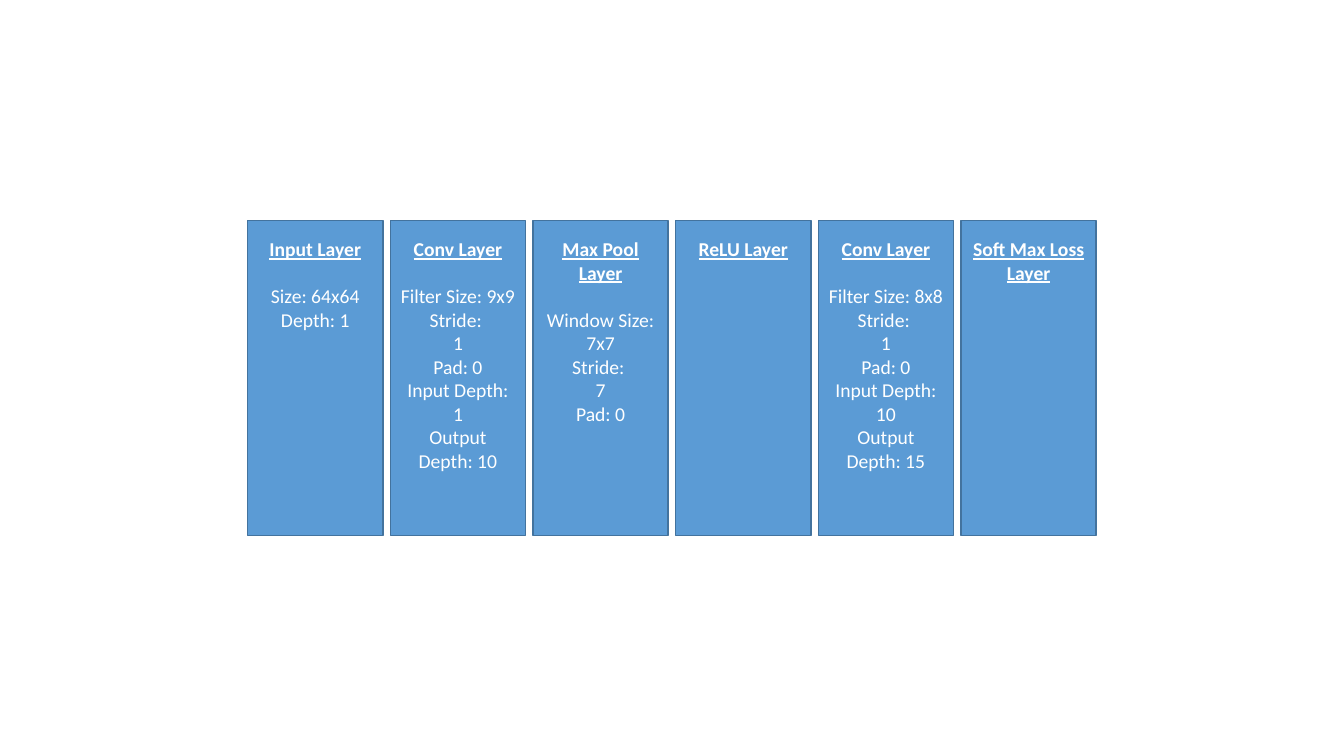
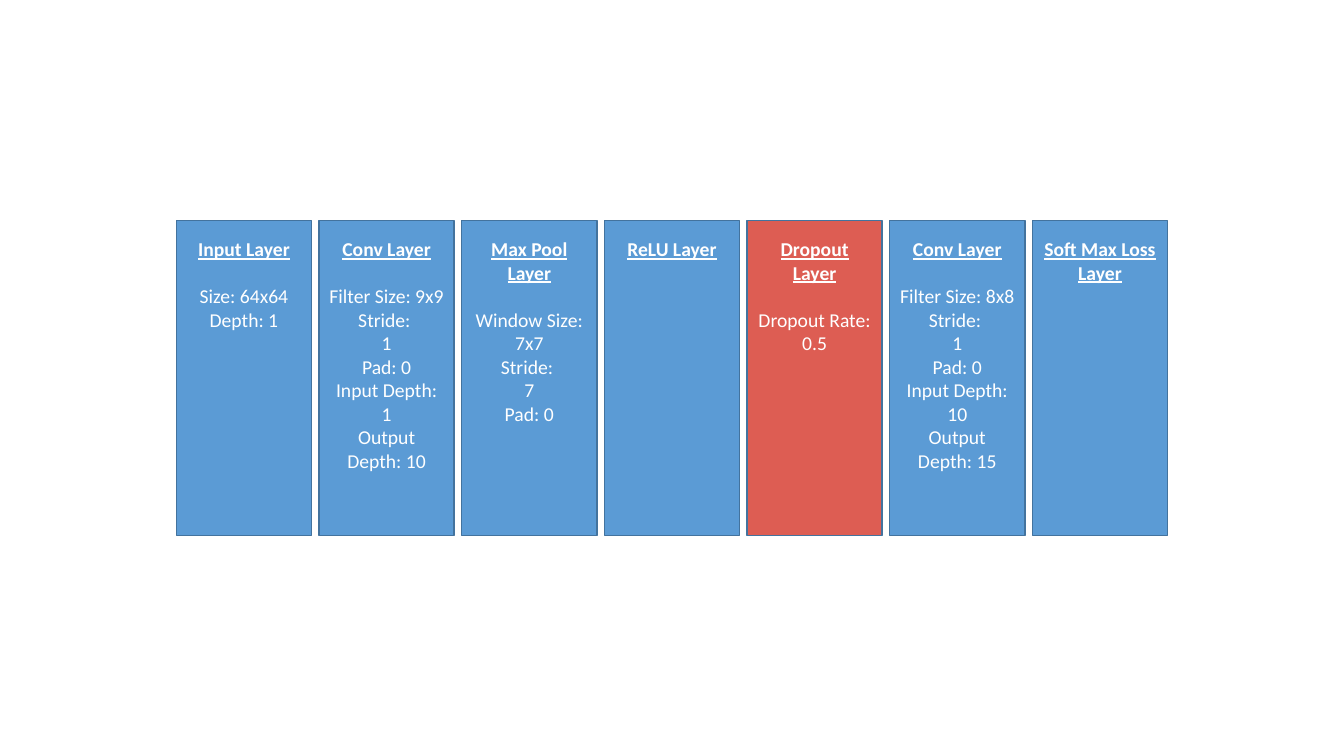
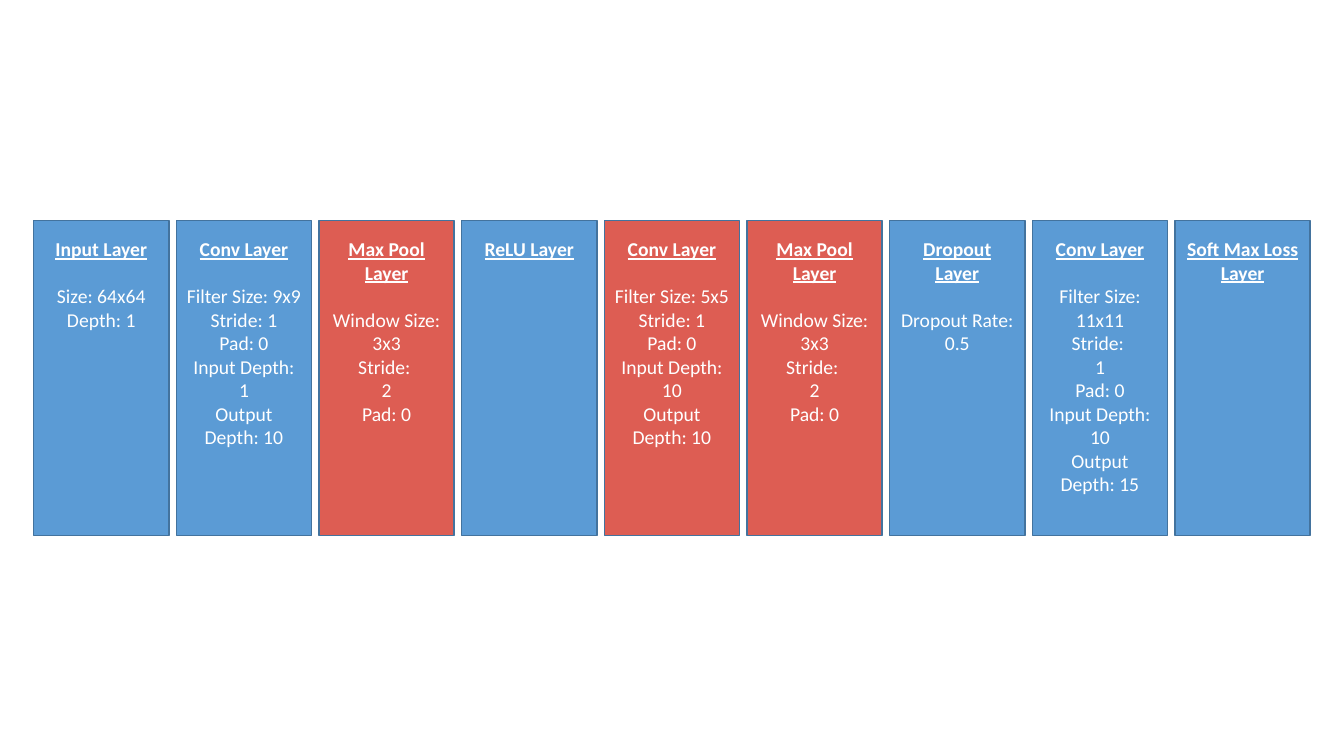
from dataclasses import dataclass, replace

from pptx import Presentation
from pptx.dml.color import RGBColor
from pptx.enum import shapes, text
from pptx.util import Inches, Pt


@dataclass(frozen=True)
class Theme:
    font: str = "Calibri"
    size: float = 14
    heading_gap: float = 16.8
    ink: str = "FFFFFF"
    plain: str = "5B9BD5"
    changed: str = "DD5D53"
    outline: str = "43739E"


@dataclass(frozen=True)
class Box:
    left: float
    top: float
    width: float
    height: float


@dataclass(frozen=True)
class Layer:
    heading: str
    details: tuple = ()
    changed: bool = False


THEME = Theme()
SLIDE_WIDTH, SLIDE_HEIGHT = 13.33, 7.5
CARD_WIDTH, CARD_INSET = 1.34, 0.16
# The widest network has nine layers and sets the gap for all slides.
FULL_ROW, MOST_LAYERS = 12.66, 9
CARD_GAP = (FULL_ROW - MOST_LAYERS * CARD_WIDTH) / (MOST_LAYERS - 1)
ROW = Box((SLIDE_WIDTH - FULL_ROW) / 2, 2.19, FULL_ROW, 3.12)

STRIDE_ONE_LINE = ("Stride: 1",)


def conv(filter_size, depth_in, depth_out, stride=("Stride: ", "1"), changed=False):
    details = (f"Filter Size: {filter_size}", *stride, "Pad: 0",
               f"Input Depth: {depth_in}", f"Output Depth: {depth_out}")
    return Layer("Conv Layer", details, changed)


def max_pool(window, stride, changed=False):
    details = (f"Window Size: {window}", "Stride: ", stride, "Pad: 0")
    return Layer("Max Pool Layer", details, changed)


INPUT = Layer("Input Layer", ("Size: 64x64", "Depth: 1"))
RELU = Layer("ReLU Layer")
DROPOUT = Layer("Dropout Layer", ("Dropout Rate: 0.5",))
LOSS = Layer("Soft Max Loss Layer")

NETWORKS = [
    [INPUT, conv("9x9", 1, 10), max_pool("7x7", "7"), RELU,
     conv("8x8", 10, 15), LOSS],
    [INPUT, conv("9x9", 1, 10), max_pool("7x7", "7"), RELU,
     replace(DROPOUT, changed=True), conv("8x8", 10, 15), LOSS],
    [INPUT, conv("9x9", 1, 10, STRIDE_ONE_LINE), max_pool("3x3", "2", changed=True),
     RELU, conv("5x5", 10, 10, STRIDE_ONE_LINE, changed=True),
     max_pool("3x3", "2", changed=True), DROPOUT, conv("11x11", 10, 15), LOSS],
]


def write_line(paragraph, words, heading=False):
    paragraph.alignment = text.PP_ALIGN.CENTER
    run = paragraph.add_run()
    run.text = words
    font = run.font
    font.name, font.size = THEME.font, Pt(THEME.size)
    font.bold = font.underline = heading
    font.color.rgb = RGBColor.from_string(THEME.ink)
    if heading:
        paragraph.space_after = Pt(THEME.heading_gap)


def add_layer_card(slide, box, layer):
    card = slide.shapes.add_shape(
        shapes.MSO_SHAPE.RECTANGLE, Inches(box.left), Inches(box.top),
        Inches(box.width), Inches(box.height))
    card.shadow.inherit = False
    card.fill.solid()
    fill = THEME.changed if layer.changed else THEME.plain
    card.fill.fore_color.rgb = RGBColor.from_string(fill)
    card.line.color.rgb = RGBColor.from_string(THEME.outline)
    card.line.width = Pt(1)

    frame = card.text_frame
    frame.word_wrap = True
    frame.vertical_anchor = text.MSO_ANCHOR.TOP
    frame.margin_top = Inches(CARD_INSET)
    write_line(frame.paragraphs[0], layer.heading, heading=True)
    for detail in layer.details:
        write_line(frame.add_paragraph(), detail)


def add_network(slide, box, layers):
    """Centre one card per layer in the box, with equal gaps."""
    pitch = CARD_WIDTH + CARD_GAP
    used = len(layers) * pitch - CARD_GAP
    start = box.left + (box.width - used) / 2
    for column, layer in enumerate(layers):
        card_box = Box(start + column * pitch, box.top, CARD_WIDTH, box.height)
        add_layer_card(slide, card_box, layer)


def main():
    deck = Presentation()
    deck.slide_width, deck.slide_height = Inches(SLIDE_WIDTH), Inches(SLIDE_HEIGHT)
    blank = deck.slide_layouts[6]
    for layers in NETWORKS:
        add_network(deck.slides.add_slide(blank), ROW, layers)
    deck.save("out.pptx")


if __name__ == "__main__":
    main()
